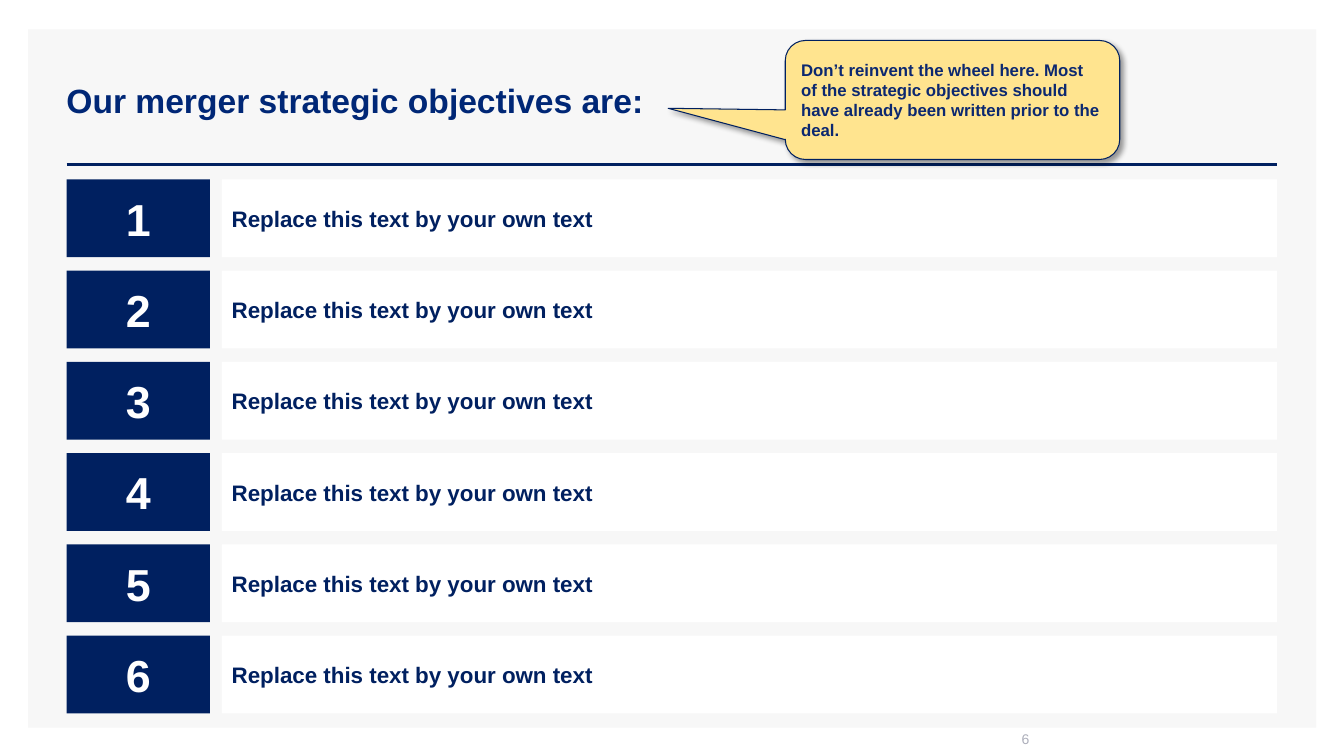
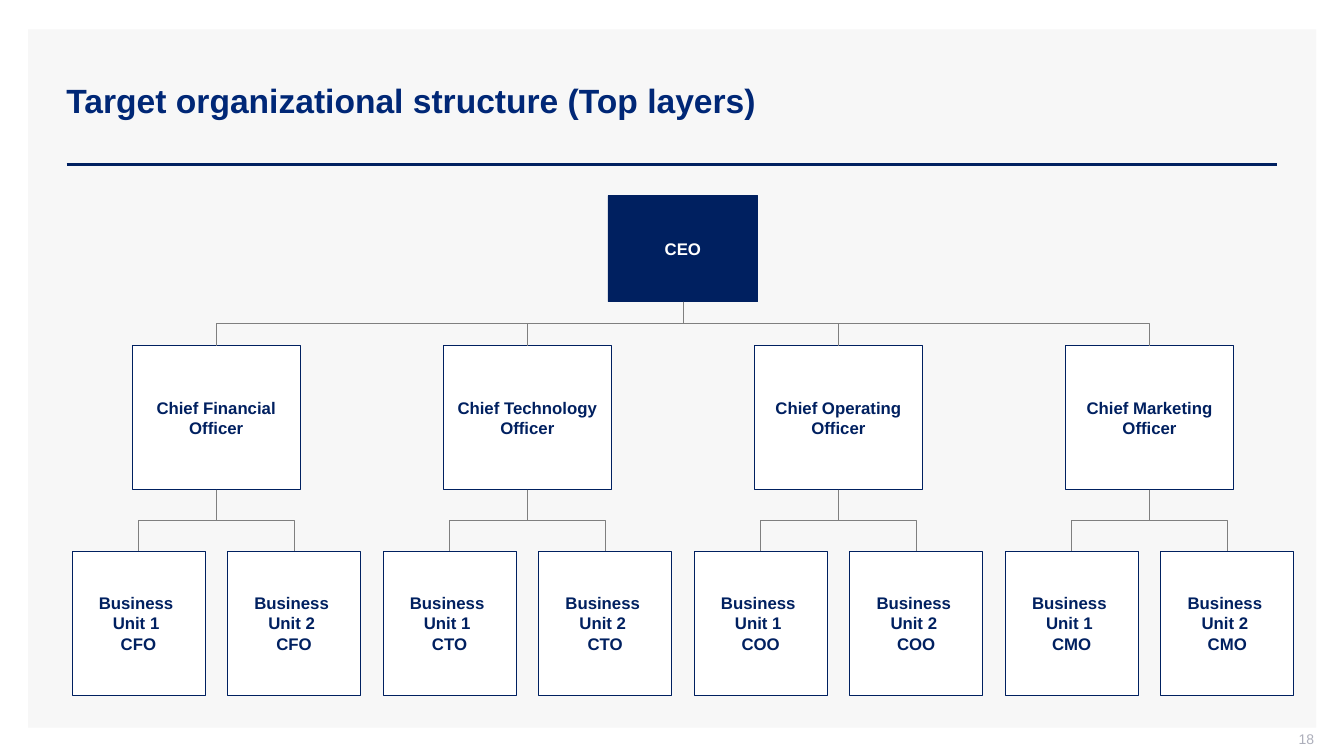
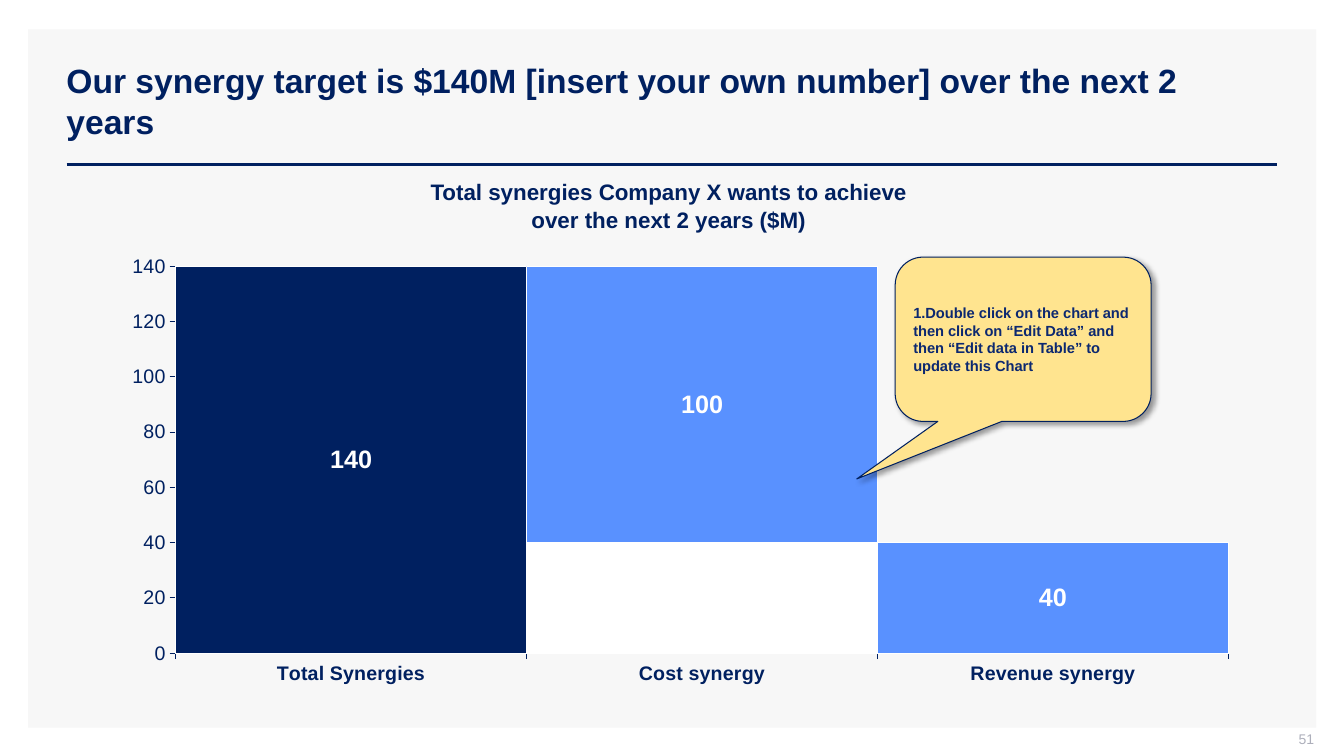
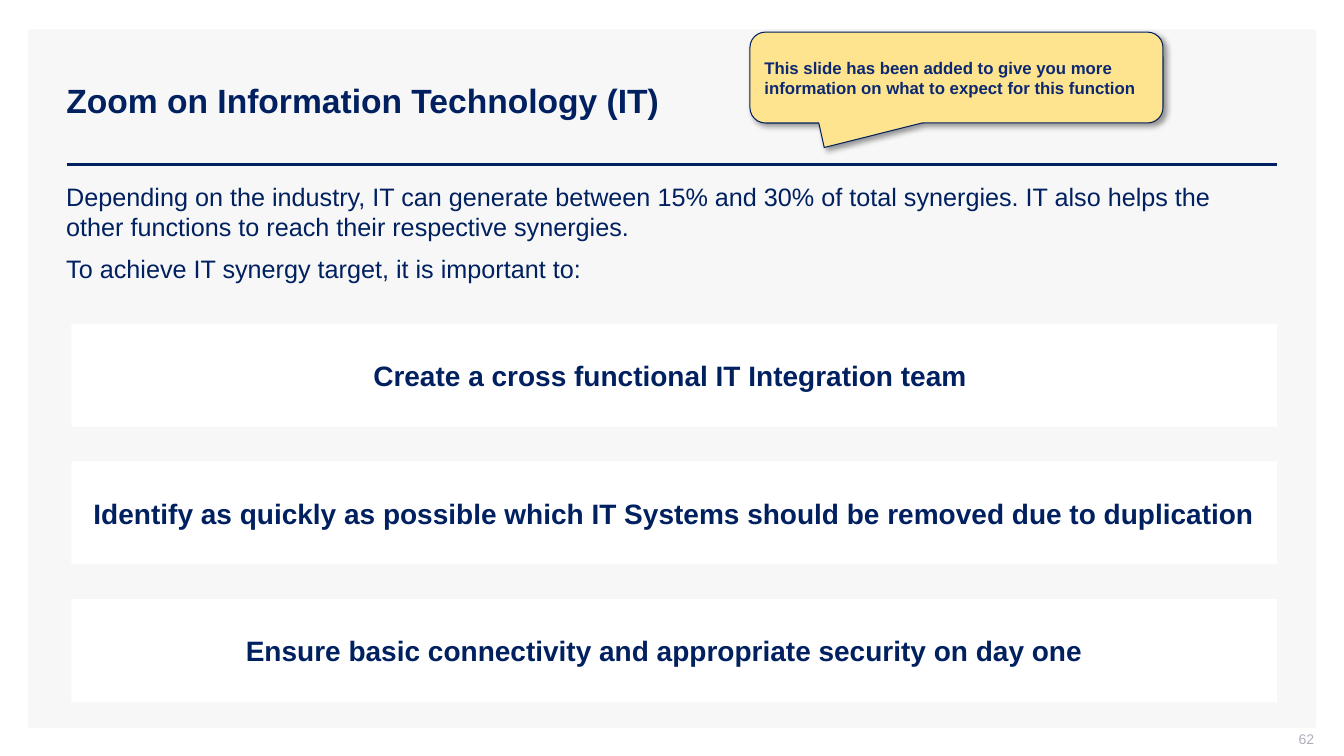
import dataclasses

import lxml.etree
import pptx
import pptx.chart.data
import pptx.dml.color
import pptx.enum.chart
import pptx.enum.shapes
import pptx.enum.text
import pptx.oxml
import pptx.oxml.ns
import pptx.util

Cm = pptx.util.Cm
Pt = pptx.util.Pt
qn = pptx.oxml.ns.qn
SHAPE = pptx.enum.shapes.MSO_SHAPE
CONNECTOR = pptx.enum.shapes.MSO_CONNECTOR
ALIGN = pptx.enum.text.PP_ALIGN
ANCHOR = pptx.enum.text.MSO_ANCHOR
CHART = pptx.enum.chart


@dataclasses.dataclass(frozen=True)
class Theme:
    font: str = "Arial"
    navy: str = "002060"
    title_blue: str = "002776"
    note_text: str = "0C2870"
    note_fill: str = "FFE48F"
    sky: str = "5991FF"
    white: str = "FFFFFF"
    band: str = "F7F7F7"
    branch: str = "7F7F7F"
    page_number: str = "ADAFBB"
    title_size: float = 24
    body_size: float = 18
    bar_size: float = 20
    row_size: float = 16
    row_number_size: float = 32
    chart_size: float = 14
    label_size: float = 18
    box_size: float = 12
    note_size: float = 12
    small_note_size: float = 10.5
    page_number_size: float = 10


THEME = Theme()

LEFT, RIGHT = 1.68, 32.18
TITLE_BOX = (1.42, 1.02, 30.76, 3.02)

SHADOW = (
    '<a:effectLst xmlns:a="http://schemas.openxmlformats.org/drawingml/2006/main">'
    '<a:outerShdw blurRad="50800" dist="38100" dir="2700000" algn="tl" rotWithShape="0">'
    '<a:srgbClr val="000000"><a:alpha val="40000"/></a:srgbClr>'
    '</a:outerShdw></a:effectLst>'
)


def rgb(value):
    return pptx.dml.color.RGBColor.from_string(value)


def lengths(box):
    return [Cm(value) for value in box]


def apply(target, values):
    for name, value in values.items():
        setattr(target, name, value)


def format_font(font, size, color, bold=False):
    apply(font, {"name": THEME.font, "size": Pt(size), "bold": bold})
    font.color.rgb = rgb(color)


def format_line(line, color, width):
    line.color.rgb = rgb(color)
    line.width = Pt(width)


def write(frame, text, size, color, bold=True, align=ALIGN.LEFT,
          anchor=ANCHOR.MIDDLE, gap=0, spacing=1.0, **margins):
    """Fill a text frame, one paragraph a line, with gap points between them."""
    apply(frame, {"word_wrap": True, "vertical_anchor": anchor,
                  "auto_size": pptx.enum.text.MSO_AUTO_SIZE.NONE, **margins})
    frame.text = text
    for index, paragraph in enumerate(frame.paragraphs):
        apply(paragraph, {"alignment": align, "line_spacing": spacing,
                          "space_before": Pt(gap if index else 0)})
        for run in paragraph.runs:
            format_font(run.font, size, color, bold)


def add_box(slide, box, fill, outline=None, width=0.5, preset=SHAPE.RECTANGLE):
    shape = slide.shapes.add_shape(preset, *lengths(box))
    shape.shadow.inherit = False
    shape.fill.solid()
    shape.fill.fore_color.rgb = rgb(fill)
    if outline:
        format_line(shape.line, outline, width)
    else:
        shape.line.fill.background()
    return shape


def add_text(slide, box, text, size, color, **layout):
    frame = slide.shapes.add_textbox(*lengths(box)).text_frame
    write(frame, text, size, color, **layout)


def format_connector(connector, color, width):
    format_line(connector.line, color, width)
    lxml.etree.SubElement(connector.element.spPr, qn("a:effectLst"))


def add_note(slide, box, text, tip, size=THEME.note_size):
    """Add a yellow callout whose tip is given relative to its centre."""
    note = add_box(slide, box, THEME.note_fill, THEME.navy, 0.75,
                   SHAPE.ROUNDED_RECTANGULAR_CALLOUT)
    for index, value in enumerate((*tip, 0.17)):
        note.adjustments[index] = value
    properties = note.element.spPr
    properties.replace(properties.find(qn("a:effectLst")),
                       pptx.oxml.parse_xml(SHADOW))
    write(note.text_frame, text, size, THEME.note_text)


def add_branch(slide, parent, child):
    """Join the foot of parent to the head of child by a vertical elbow."""
    start_x, start_y = parent.left + parent.width // 2, parent.top + parent.height
    end_x, end_y = child.left + child.width // 2, child.top
    branch = slide.shapes.add_connector(CONNECTOR.ELBOW, start_x, start_y, end_x, end_y)
    branch.begin_connect(parent, 2)
    branch.end_connect(child, 0)
    drop, reach = end_y - start_y, abs(end_x - start_x)
    apply(branch, {"left": (start_x + end_x - drop) // 2,
                   "top": (start_y + end_y - reach) // 2,
                   "width": drop, "height": reach})
    to_right = end_x > start_x
    transform = branch.element.spPr.find(qn("a:xfrm"))
    transform.set("rot", "16200000" if to_right else "5400000")
    transform.set("flipH", "1" if to_right else "0")
    format_connector(branch, THEME.branch, 0.5)


def set_up_layout(layout, slide):
    """Put the grey band, the title rule and the title place on the layout."""
    band = add_box(slide, (0.71, 0.74, 32.46, 17.6), THEME.band)
    rule = slide.shapes.add_connector(CONNECTOR.STRAIGHT,
                                      *lengths((LEFT, 4.14, RIGHT, 4.14)))
    format_connector(rule, THEME.navy, 2)
    for index, part in enumerate((band, rule)):
        part.element.xpath(".//p:cNvPr")[0].set("id", str(101 + index))
        layout.shapes.element.insert(2 + index, part.element)
    apply(layout.placeholders[0],
          dict(zip(("left", "top", "width", "height"), lengths(TITLE_BOX))))


def add_slide(deck, title, number, title_color=THEME.navy, number_align=ALIGN.RIGHT):
    layout = deck.slide_layouts[5]
    slide = deck.slides.add_slide(layout)
    if len(deck.slides) == 1:
        set_up_layout(layout, slide)
    write(slide.shapes.title.text_frame, title, THEME.title_size, title_color)
    add_text(slide, (25.5, 18.42, 7.62, 0.53), number, THEME.page_number_size,
             THEME.page_number, bold=False, align=number_align,
             margin_top=0, margin_right=0)
    return slide


def build_objectives(deck):
    slide = add_slide(deck, "Our merger strategic objectives are:", "6",
                      THEME.title_blue, ALIGN.LEFT)
    top, pitch, height, text_left = 4.52, 2.3, 1.96, 5.59
    for row in range(6):
        row_top = top + row * pitch
        number = add_box(slide, (LEFT, row_top, 3.61, height), THEME.navy)
        write(number.text_frame, str(row + 1), THEME.row_number_size, THEME.white,
              align=ALIGN.CENTER)
        objective = add_box(slide, (text_left, row_top, RIGHT - text_left, height),
                            THEME.white)
        write(objective.text_frame, "Replace this text by your own text",
              THEME.row_size, THEME.navy)
    add_note(slide, (19.79, 1.02, 8.43, 3),
             "Don’t reinvent the wheel here. Most of the strategic objectives "
             "should have already been written prior to the deal.", (-0.85, 0.07))


def add_role(slide, center, top, size, text, fill=THEME.white, color=THEME.navy):
    width, height = size
    role = add_box(slide, (center - width / 2, top, width, height), fill, THEME.navy)
    write(role.text_frame, text, THEME.box_size, color, align=ALIGN.CENTER,
          margin_left=Cm(0.15), margin_right=Cm(0.15),
          margin_top=Cm(0.05), margin_bottom=Cm(0.05))
    return role


def build_organization(deck):
    slide = add_slide(deck, "Target organizational structure (Top layers)", "18",
                      THEME.title_blue)
    officers = {"Financial": "CFO", "Technology": "CTO",
                "Operating": "COO", "Marketing": "CMO"}
    first_unit, unit_pitch = 3.49, 3.92
    chart_center = first_unit + unit_pitch * (2 * len(officers) - 1) / 2
    ceo = add_role(slide, chart_center, 4.93, (3.78, 2.67), "CEO",
                   THEME.navy, THEME.white)
    for index, (field, initials) in enumerate(officers.items()):
        pair_left = first_unit + 2 * index * unit_pitch
        officer = add_role(slide, pair_left + unit_pitch / 2, 8.71, (4.24, 3.63),
                           f"Chief {field} Officer")
        add_branch(slide, ceo, officer)
        for unit in range(2):
            head = add_role(slide, pair_left + unit * unit_pitch, 13.89, (3.35, 3.63),
                            f"Business \nUnit {unit + 1} \n{initials}")
            add_branch(slide, officer, head)


def place_plot(chart, **fractions):
    """Fix the inner plot area as fractions of the chart."""
    plot_area = chart.element.xpath(".//c:plotArea")[0]
    for automatic in plot_area.findall(qn("c:layout")):
        plot_area.remove(automatic)
    layout = lxml.etree.Element(qn("c:layout"))
    manual = lxml.etree.SubElement(layout, qn("c:manualLayout"))
    settings = {"layoutTarget": "inner", "xMode": "edge", "yMode": "edge", **fractions}
    for name, value in settings.items():
        lxml.etree.SubElement(manual, qn(f"c:{name}")).set("val", str(value))
    plot_area.insert(0, layout)


def add_synergy_chart(slide, box):
    data = pptx.chart.data.CategoryChartData()
    data.categories = ["Total Synergies", "Cost synergy", "Revenue synergy"]
    data.add_series("Series 1", (0, 40, 0))
    data.add_series("Series 2", (None, 100, 40))
    data.add_series("Series 3", (140, None, None))
    chart = slide.shapes.add_chart(CHART.XL_CHART_TYPE.COLUMN_STACKED,
                                   *lengths(box), data).chart
    apply(chart, {"has_legend": False, "has_title": False})
    format_font(chart.font, THEME.chart_size, THEME.navy)
    plot = chart.plots[0]
    apply(plot, {"gap_width": 0, "overlap": 100, "vary_by_categories": False})
    for series, color in zip(plot.series, (THEME.white, THEME.sky, THEME.navy)):
        series.format.fill.solid()
        series.format.fill.fore_color.rgb = rgb(color)
        format_line(series.format.line, THEME.white, 0.75)
        if color != THEME.white:
            apply(series.data_labels, {"show_value": True,
                                       "position": CHART.XL_LABEL_POSITION.CENTER})
            format_font(series.data_labels.font, THEME.label_size, THEME.white, True)
    for axis, bold in ((chart.category_axis, True), (chart.value_axis, False)):
        apply(axis, {"has_major_gridlines": False,
                     "major_tick_mark": CHART.XL_TICK_MARK.OUTSIDE,
                     "minor_tick_mark": CHART.XL_TICK_MARK.NONE})
        format_font(axis.tick_labels.font, THEME.chart_size, THEME.navy, bold)
        format_line(axis.format.line, THEME.navy, 0.75)
    apply(chart.value_axis, {"minimum_scale": 0, "maximum_scale": 140, "major_unit": 20})
    place_plot(chart, x=0.09, y=0.05, w=0.87, h=0.8)


def build_synergies(deck):
    slide = add_slide(deck, "Our synergy target is $140M [insert your own number] "
                            "over the next 2 years", "51")
    add_synergy_chart(slide, (LEFT, 6.1, RIGHT - LEFT, 12.19))
    add_text(slide, (LEFT, 4.45, RIGHT - LEFT, 1.4),
             "Total synergies Company X wants to achieve \nover the next 2 years ($M) ",
             THEME.row_size, THEME.navy, align=ALIGN.CENTER, anchor=ANCHOR.TOP,
             spacing=1.06, margin_left=0, margin_right=0, margin_top=0, margin_bottom=0)
    add_note(slide, (22.56, 6.48, 6.45, 4.14),
             "1.Double click on the chart and then click on “Edit Data” and then "
             "“Edit data in Table” to update this Chart", (-0.65, 0.85),
             THEME.small_note_size)


def build_technology(deck):
    slide = add_slide(deck, "Zoom on Information Technology (IT)", "62")
    add_text(slide, (1.42, 4.45, 30.76, 2.84),
             "Depending on the industry, IT can generate between 15% and 30% of total "
             "synergies. IT also helps the other functions to reach their respective "
             "synergies.\nTo achieve IT synergy target, it is important to:",
             THEME.body_size, THEME.navy, bold=False, anchor=ANCHOR.TOP, gap=8)
    actions = (
        "Create a cross functional IT Integration team ",
        "Identify as quickly as possible which IT Systems should be removed due to duplication",
        "Ensure basic connectivity and appropriate security on day one\t",
    )
    bar_left, top, pitch = 1.8, 8.16, 3.47
    for index, action in enumerate(actions):
        bar = add_box(slide, (bar_left, top + index * pitch, RIGHT - bar_left, 2.59),
                      THEME.white)
        write(bar.text_frame, action, THEME.bar_size, THEME.navy, align=ALIGN.CENTER)
    add_note(slide, (18.9, 0.81, 10.41, 2.29),
             "This slide has been added to give you more information on what to "
             "expect for this function", (-0.32, 0.77))


def main():
    deck = pptx.Presentation()
    apply(deck, {"slide_width": Cm(33.87), "slide_height": Cm(19.05)})
    for build in (build_objectives, build_organization, build_synergies, build_technology):
        build(deck)
    deck.save("out.pptx")


if __name__ == "__main__":
    main()
